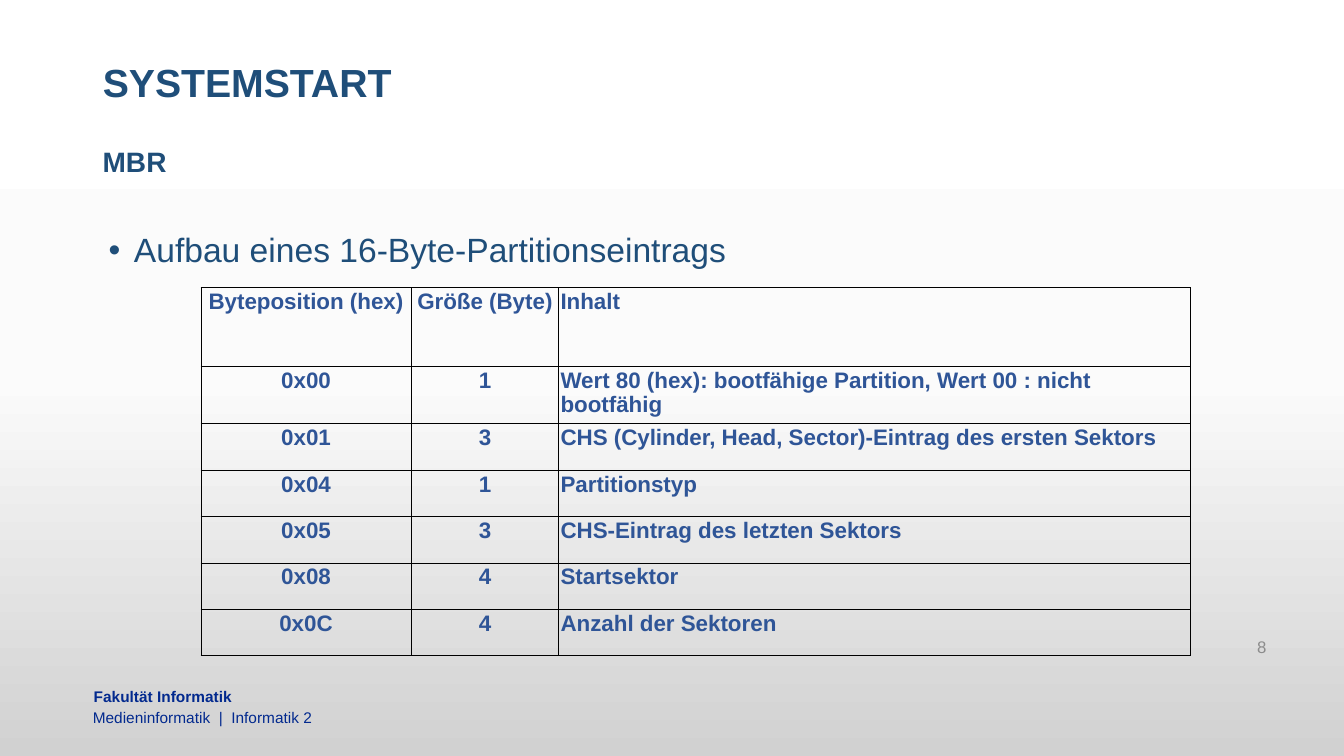
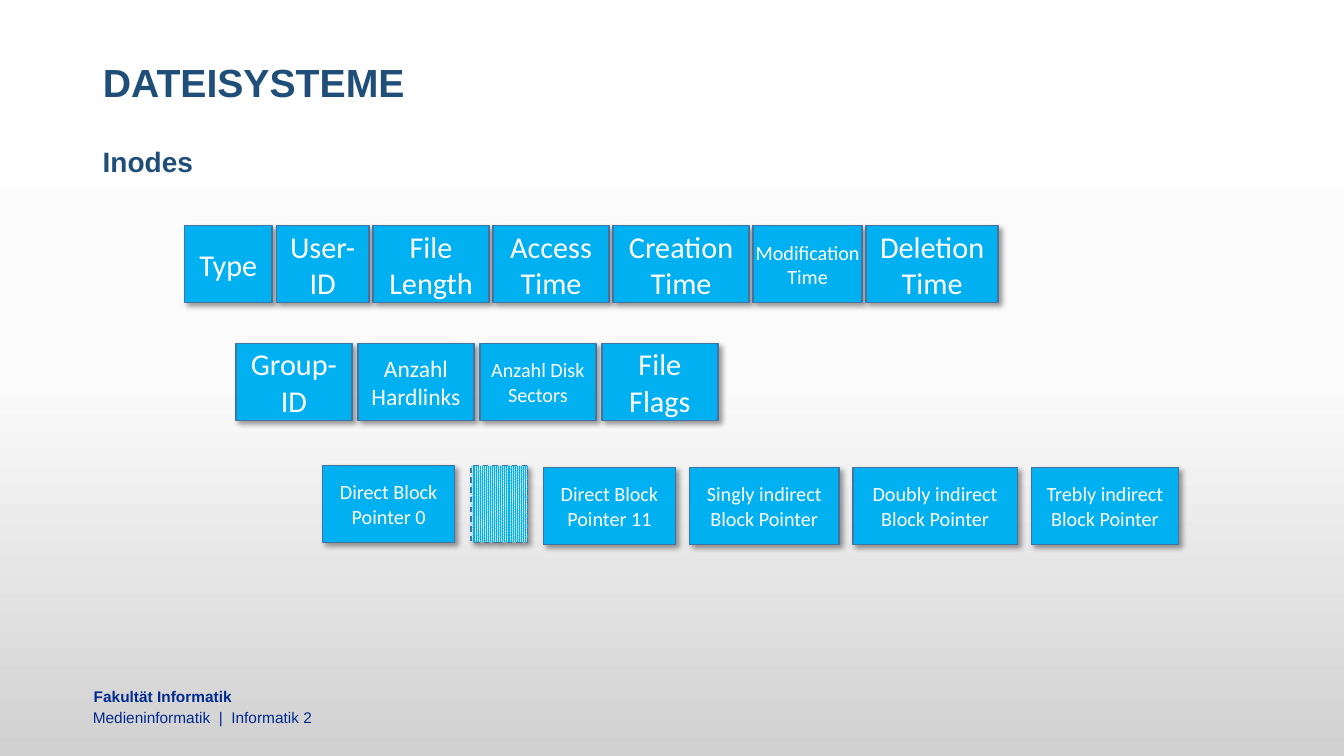
from dataclasses import dataclass
from typing import Optional

from lxml.etree import SubElement
from pptx import Presentation
from pptx.dml.color import RGBColor
from pptx.enum.dml import MSO_LINE, MSO_PATTERN
from pptx.enum.shapes import MSO_SHAPE
from pptx.enum.text import MSO_ANCHOR, MSO_AUTO_SIZE, PP_ALIGN
from pptx.oxml.ns import qn
from pptx.util import Inches, Pt


@dataclass(frozen=True)
class Theme:
    font: str = "Arial"
    box_font: str = "Calibri"
    heading: str = "1F4E79"
    table_text: str = "2F5597"
    footer: str = "02298E"
    number: str = "8C8C8C"
    box_fill: str = "00B0F0"
    box_line: str = "43739E"
    white: str = "FFFFFF"
    black: str = "000000"
    backdrop: tuple = ((0, "FFFFFF"), (50, "FBFBFB"), (100, "D1D1D1"))
    title_size: float = 28
    subtitle_size: float = 20
    bullet_size: float = 24
    table_size: float = 16
    number_size: float = 12
    footer_size: float = 11
    large: float = 21.6
    medium: float = 16.8
    small: float = 14.4


T = Theme()


@dataclass(frozen=True)
class Field:
    text: str
    width: float
    size: float = T.large
    side_inset: float = 0.1


@dataclass(frozen=True)
class FieldRow:
    left: float
    top: float
    gap: float
    fields: tuple[Field, ...]


FIELD_HEIGHT = 0.76
FIELD_ROWS = (
    FieldRow(1.83, 2.24, 0.04, (
        Field("Type", 0.87),
        Field("User-ID", 0.92),
        Field("File Length", 1.15),
        Field("Access Time", 1.15),
        Field("Creation Time", 1.35),
        Field("Modification Time", 1.08, T.small, 0),
        Field("Deletion Time", 1.31),
    )),
    FieldRow(2.34, 3.41, 0.06, (
        Field("Group-ID", 1.15),
        Field("Anzahl Hardlinks", 1.15, T.medium),
        Field("Anzahl Disk Sectors", 1.15, T.small),
        Field("File Flags", 1.15),
    )),
    FieldRow(3.2, 4.62, 0.16, (
        Field("Direct Block Pointer 0", 1.31, T.small),
        Field("", 0.56),
    )),
    FieldRow(5.39, 4.64, 0.14, (
        Field("Direct Block Pointer 11", 1.31, T.small),
        Field("Singly indirect Block Pointer", 1.48, T.small),
        Field("Doubly indirect Block Pointer", 1.63, T.small),
        Field("Trebly indirect Block Pointer", 1.46, T.small),
    )),
)

COLUMN_WIDTHS = (2.09, 1.46, 6.26)
HEADER_HEIGHT, ROW_HEIGHT = 0.78, 0.46
PARTITION_ENTRY = (
    ("Byteposition (hex)", "Größe (Byte)", "Inhalt"),
    ("0x00", "1", "Wert 80 (hex): bootfähige Partition, Wert 00 : nicht bootfähig"),
    ("0x01", "3", "CHS (Cylinder, Head, Sector)-Eintrag des ersten Sektors"),
    ("0x04", "1", "Partitionstyp"),
    ("0x05", "3", "CHS-Eintrag des letzten Sektors"),
    ("0x08", "4", "Startsektor"),
    ("0x0C", "4", "Anzahl der Sektoren"),
)


def rgb(color: str) -> RGBColor:
    return RGBColor.from_string(color)


def add_run(p, text: str, size: float, color: str, bold: bool = False, font: str = T.font) -> None:
    r = p.add_run()
    r.text = text
    r.font.name = font
    r.font.size = Pt(size)
    r.font.bold = bold
    r.font.color.rgb = rgb(color)


def set_insets(tf, side: float, end: float) -> None:
    tf.margin_left = tf.margin_right = Inches(side)
    tf.margin_top = tf.margin_bottom = Inches(end)


def add_text(s, at: tuple, text: str, size: float, color: str, bold: bool = False,
             inset: Optional[float] = None):
    sp = s.shapes.add_textbox(*(Inches(v) for v in at))
    tf = sp.text_frame
    tf.word_wrap = True
    if inset is not None:
        set_insets(tf, inset, inset)
    add_run(tf.paragraphs[0], text, size, color, bold)
    return sp


def style_backdrop(master) -> None:
    fill = master.background.fill
    fill.gradient()
    fill.gradient_angle = 270
    stops = master.element.find(".//" + qn("a:gsLst"))
    for stop in list(stops):
        stops.remove(stop)
    for position, color in T.backdrop:
        stop = SubElement(stops, qn("a:gs"), pos=str(position * 1000))
        SubElement(stop, qn("a:srgbClr"), val=color)


def add_layout_footer(s) -> None:
    lines = (
        add_text(s, (0.93, 6.82, 8.5, 0.2), "Fakultät Informatik",
                 T.footer_size, T.footer, True, 0),
        add_text(s, (0.92, 7.02, 8.52, 0.19), "Medieninformatik  |  Informatik 2",
                 T.footer_size, T.footer, False, 0),
    )
    tree = s.slide_layout.element.find(".//" + qn("p:spTree"))
    for sp in lines:
        tree.append(sp.element)


def add_slide(prs, title: str, subtitle: str):
    s = prs.slides.add_slide(prs.slide_layouts[5])
    sp = s.shapes.title
    sp.left, sp.top, sp.width, sp.height = (Inches(v) for v in (0.92, 0.35, 11.5, 0.98))
    tf = sp.text_frame
    tf.auto_size = MSO_AUTO_SIZE.NONE
    tf.vertical_anchor = MSO_ANCHOR.MIDDLE
    p = tf.paragraphs[0]
    p.alignment = PP_ALIGN.LEFT
    p.line_spacing = 0.9
    add_run(p, title, T.title_size, T.heading, True)
    sp = add_text(s, (0.92, 1.42, 11.5, 0.5), subtitle, T.subtitle_size, T.heading, True)
    sp.text_frame.paragraphs[0].line_spacing = 0.9
    return s


def add_bullet(s, text: str) -> None:
    sp = add_text(s, (0.98, 2.27, 11.82, 0.75), text, T.bullet_size, T.heading)
    p = sp.text_frame.paragraphs[0]
    pPr = p._p.get_or_add_pPr()
    pPr.set("marL", str(Inches(0.25)))
    pPr.set("indent", str(Inches(-0.25)))
    SubElement(pPr, qn("a:buFont"), typeface=T.font)
    SubElement(pPr, qn("a:buChar"), char="•")
    p.line_spacing = 0.9


def add_borders(cell) -> None:
    tcPr = cell._tc.get_or_add_tcPr()
    for i, side in enumerate(("a:lnL", "a:lnR", "a:lnT", "a:lnB")):
        ln = tcPr.makeelement(qn(side), {"w": str(Pt(0.25))})
        tcPr.insert(i, ln)
        fill = SubElement(ln, qn("a:solidFill"))
        SubElement(fill, qn("a:srgbClr"), val=T.black)


def add_partition_table(s) -> None:
    height = HEADER_HEIGHT + ROW_HEIGHT * (len(PARTITION_ENTRY) - 1)
    table = s.shapes.add_table(
        len(PARTITION_ENTRY), len(COLUMN_WIDTHS),
        Inches(1.99), Inches(2.85), Inches(sum(COLUMN_WIDTHS)), Inches(height)).table
    table.first_row = table.horz_banding = False
    for column, width in zip(table.columns, COLUMN_WIDTHS):
        column.width = Inches(width)
    for i, values in enumerate(PARTITION_ENTRY):
        table.rows[i].height = Inches(ROW_HEIGHT if i else HEADER_HEIGHT)
        for j, value in enumerate(values):
            cell = table.cell(i, j)
            cell.fill.background()
            set_insets(cell, 0.02, 0.02)
            add_borders(cell)
            p = cell.text_frame.paragraphs[0]
            p.alignment = PP_ALIGN.LEFT if j == 2 else PP_ALIGN.CENTER
            add_run(p, value, T.table_size, T.table_text, True)


def add_shadow(sp) -> None:
    sp.shadow.inherit = False
    effects = sp._element.spPr.find(qn("a:effectLst"))
    shadow = SubElement(effects, qn("a:outerShdw"), blurRad=str(Pt(4)), dist=str(Pt(3)),
                        dir="2700000", algn="tl", rotWithShape="0")
    color = SubElement(shadow, qn("a:srgbClr"), val=T.black)
    SubElement(color, qn("a:alpha"), val="40000")


def add_field(s, field: Field, left: float, top: float) -> None:
    sp = s.shapes.add_shape(MSO_SHAPE.RECTANGLE, Inches(left), Inches(top),
                            Inches(field.width), Inches(FIELD_HEIGHT))
    sp.line.color.rgb = rgb(T.box_line)
    sp.line.width = Pt(1)
    add_shadow(sp)
    if not field.text:
        sp.fill.patterned()
        sp.fill.pattern = MSO_PATTERN.PERCENT_90
        sp.fill.fore_color.rgb = rgb(T.box_fill)
        sp.fill.back_color.rgb = rgb(T.white)
        sp.line.dash_style = MSO_LINE.DASH
        return
    sp.fill.solid()
    sp.fill.fore_color.rgb = rgb(T.box_fill)
    tf = sp.text_frame
    tf.word_wrap = True
    tf.vertical_anchor = MSO_ANCHOR.MIDDLE
    set_insets(tf, field.side_inset, 0.05)
    p = tf.paragraphs[0]
    p.alignment = PP_ALIGN.CENTER
    add_run(p, field.text, field.size, T.white, font=T.box_font)


def add_field_row(s, row: FieldRow) -> None:
    left = row.left
    for field in row.fields:
        add_field(s, field, left, row.top)
        left += field.width + row.gap


def main() -> None:
    prs = Presentation()
    prs.slide_width, prs.slide_height = Inches(13.33), Inches(7.5)
    style_backdrop(prs.slide_master)

    s = add_slide(prs, "SYSTEMSTART", "MBR")
    add_layout_footer(s)
    add_bullet(s, "Aufbau eines 16-Byte-Partitionseintrags")
    add_partition_table(s)
    sp = add_text(s, (9.55, 6.22, 3.11, 0.4), "8", T.number_size, T.number)
    sp.text_frame.vertical_anchor = MSO_ANCHOR.MIDDLE
    sp.text_frame.paragraphs[0].alignment = PP_ALIGN.RIGHT

    s = add_slide(prs, "DATEISYSTEME", "Inodes")
    for row in FIELD_ROWS:
        add_field_row(s, row)

    prs.save("out.pptx")


if __name__ == "__main__":
    main()
